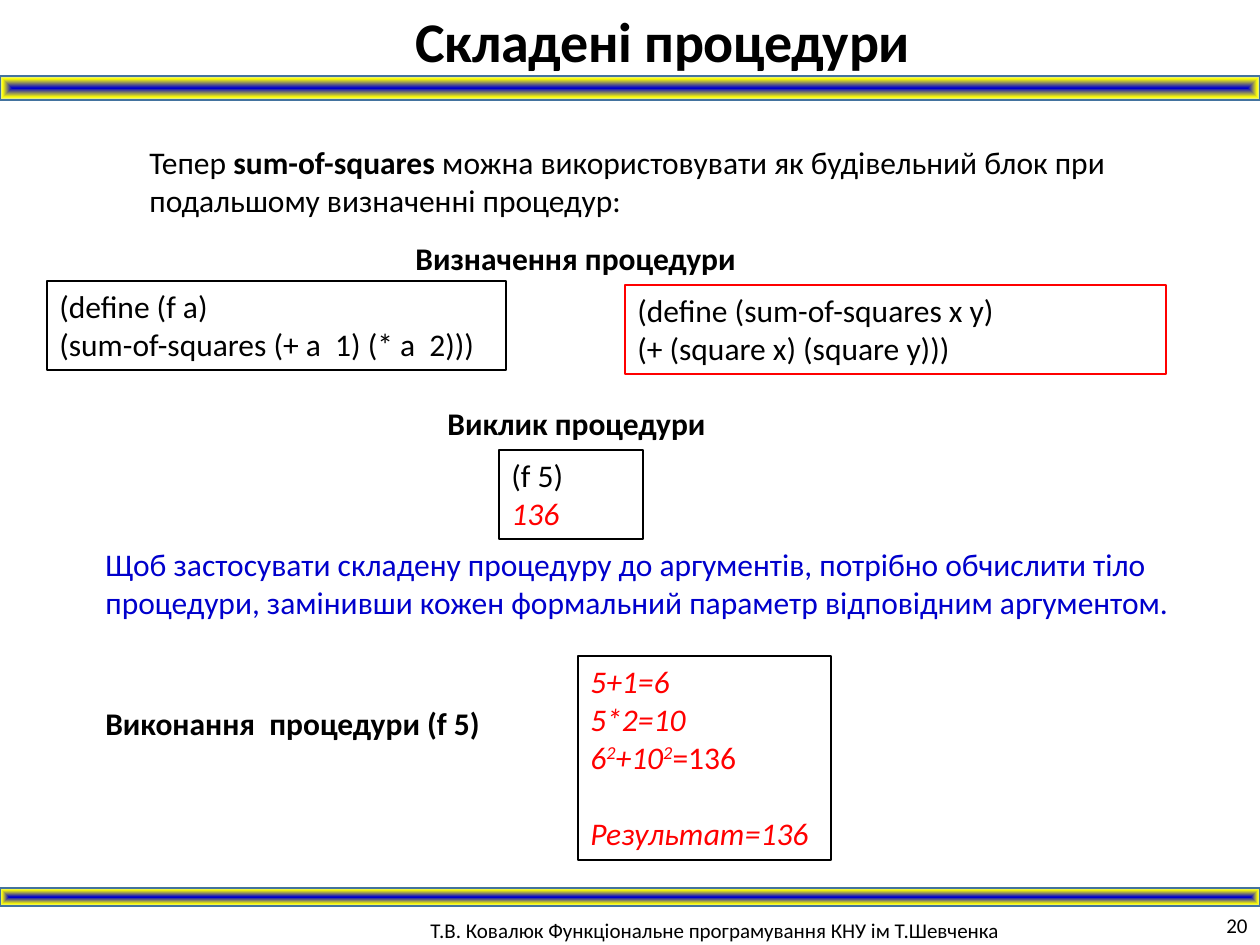
from dataclasses import dataclass, field

from pptx import Presentation
from pptx.dml.color import RGBColor
from pptx.enum.shapes import MSO_SHAPE as Preset
from pptx.enum.text import MSO_ANCHOR as Anchor, MSO_AUTO_SIZE as AutoSize, PP_ALIGN as Align
from pptx.oxml import parse_xml
from pptx.oxml.ns import nsdecls
from pptx.util import Emu, Pt

EMU_PER_PX = 914400 / 126
BLACK, RED, BLUE = "000000", "FF0000", "0000CC"
BOLD, ITALIC = {"bold": True}, {"italic": True}
BAND_STOPS = ((0, "0000CC"), (77, "FFFF00"), (100, "CEE1F2"))


@dataclass
class Run:
    text: str
    format: dict = field(default_factory=dict)
    color: str = BLACK
    raised: bool = False


@dataclass
class Block:
    at: tuple[int, int, int, int]
    lines: list[list[Run]]
    size: int = 18
    border: str | None = None
    wrap: bool = True
    align: Align = Align.LEFT
    anchor: Anchor = Anchor.TOP
    gap_before_last: int = 0


def px(length: float) -> Emu:
    return Emu(round(length * EMU_PER_PX))


def rgb(value: str) -> RGBColor:
    return RGBColor.from_string(value)


def write(frame, block: Block) -> None:
    frame.auto_size = AutoSize.NONE
    frame.word_wrap = block.wrap
    frame.vertical_anchor = block.anchor
    for index, line in enumerate(block.lines):
        paragraph = frame.paragraphs[0] if index == 0 else frame.add_paragraph()
        paragraph.alignment = block.align
        for part in line:
            run = paragraph.add_run()
            run.text = part.text
            settings = {"name": "Calibri", "size": Pt(block.size), **part.format}
            for name, value in settings.items():
                setattr(run.font, name, value)
            run.font.color.rgb = rgb(part.color)
            if part.raised:
                run._r.get_or_add_rPr().set("baseline", "30000")
    if block.gap_before_last:
        frame.paragraphs[-1].space_before = Pt(block.gap_before_last)


def add_block(shapes, block: Block) -> None:
    place = [px(length) for length in block.at]
    if block.border:
        box = shapes.add_shape(Preset.RECTANGLE, *place)
        box.shadow.inherit = False
        box.fill.background()
        box.line.color.rgb = rgb(block.border)
        box.line.width = Pt(0.75)
    else:
        box = shapes.add_textbox(*place)
    write(box.text_frame, block)


def add_band(shapes, top: int, height: int) -> None:
    band = shapes.add_shape(Preset.RECTANGLE, 0, px(top), px(1260), px(height))
    band.shadow.inherit = False
    band.line.color.rgb = rgb("43739E")
    band.line.width = Pt(1)
    stops = "".join(
        f'<a:gs pos="{pos * 1000}"><a:srgbClr val="{color}"/></a:gs>'
        for pos, color in BAND_STOPS)
    gradient = parse_xml(
        f'<a:gradFill {nsdecls("a")} rotWithShape="1"><a:gsLst>{stops}</a:gsLst>'
        '<a:path path="shape"><a:fillToRect l="50000" t="50000" r="50000" b="50000"/>'
        '</a:path></a:gradFill>')
    band._element.spPr.prstGeom.addnext(gradient)


prs = Presentation()
prs.slide_width, prs.slide_height = px(1260), px(945)
slide = prs.slides.add_slide(prs.slide_layouts[5])
shapes = slide.shapes

# Title
heading = Block((403, 0, 524, 81), [[Run("Складені процедури", BOLD)]], size=32, wrap=False)
title = shapes.title
title.left, title.top, title.width, title.height = map(px, heading.at)
write(title.text_frame, heading)
title.text_frame.paragraphs[0].runs[0]._r.get_or_add_rPr().set("spc", "-20")

# Bands under the title and above the footer
for top, height in ((76, 24), (888, 18)):
    add_band(shapes, top, height)

# Text, code boxes and footer
blocks = [
    Block((137, 137, 1013, 89), [[
        Run("Тепер "), Run("sum-of-squares ", BOLD),
        Run("можна використовувати як будівельний блок при подальшому визначенні процедур:")]]),
    Block((403, 233, 349, 50), [[Run("Визначення процедури", BOLD)]], wrap=False),
    Block((47, 281, 459, 89), [
        [Run("(define (f a)")],
        [Run("(sum-of-squares (+ a  1) (* a  2)))")]], border=BLACK),
    Block((625, 285, 541, 89), [
        [Run("(define (sum-of-squares x y)")],
        [Run("(+ (square x) (square y)))")]], border=RED),
    Block((435, 398, 286, 50), [[Run("Виклик процедури", BOLD)]], wrap=False),
    Block((499, 450, 144, 89), [[Run("(f 5)")], [Run("136", ITALIC, RED)]], border=BLACK),
    Block((93, 539, 1118, 89), [
        [Run("Щоб застосувати складену процедуру до аргументів, потрібно обчислити тіло",
             color=BLUE)],
        [Run("процедури, замінивши кожен формальний параметр відповідним аргументом.",
             color=BLUE)]]),
    Block((93, 698, 404, 50), [[Run("Виконання  процедури (f 5)", BOLD)]], wrap=False),
    Block((578, 656, 253, 204), [
        [Run("5+1=6", ITALIC, RED)],
        [Run("5*2=10", ITALIC, RED)],
        [Run("6", ITALIC, RED), Run("2", ITALIC, RED, raised=True),
         Run("+10", ITALIC, RED), Run("2", ITALIC, RED, raised=True),
         Run("=136", color=RED)],
        [Run("Результат=136", ITALIC, RED)]], border=BLACK, gap_before_last=22),
    Block((418, 911, 756, 40), [[
        Run("Т.В. Ковалюк Функціональне програмування КНУ ім Т.Шевченка")]], size=12),
    Block((1173, 905, 87, 40), [[Run("20")]], size=12, align=Align.RIGHT, anchor=Anchor.MIDDLE),
]
for block in blocks:
    add_block(shapes, block)

prs.save("out.pptx")
